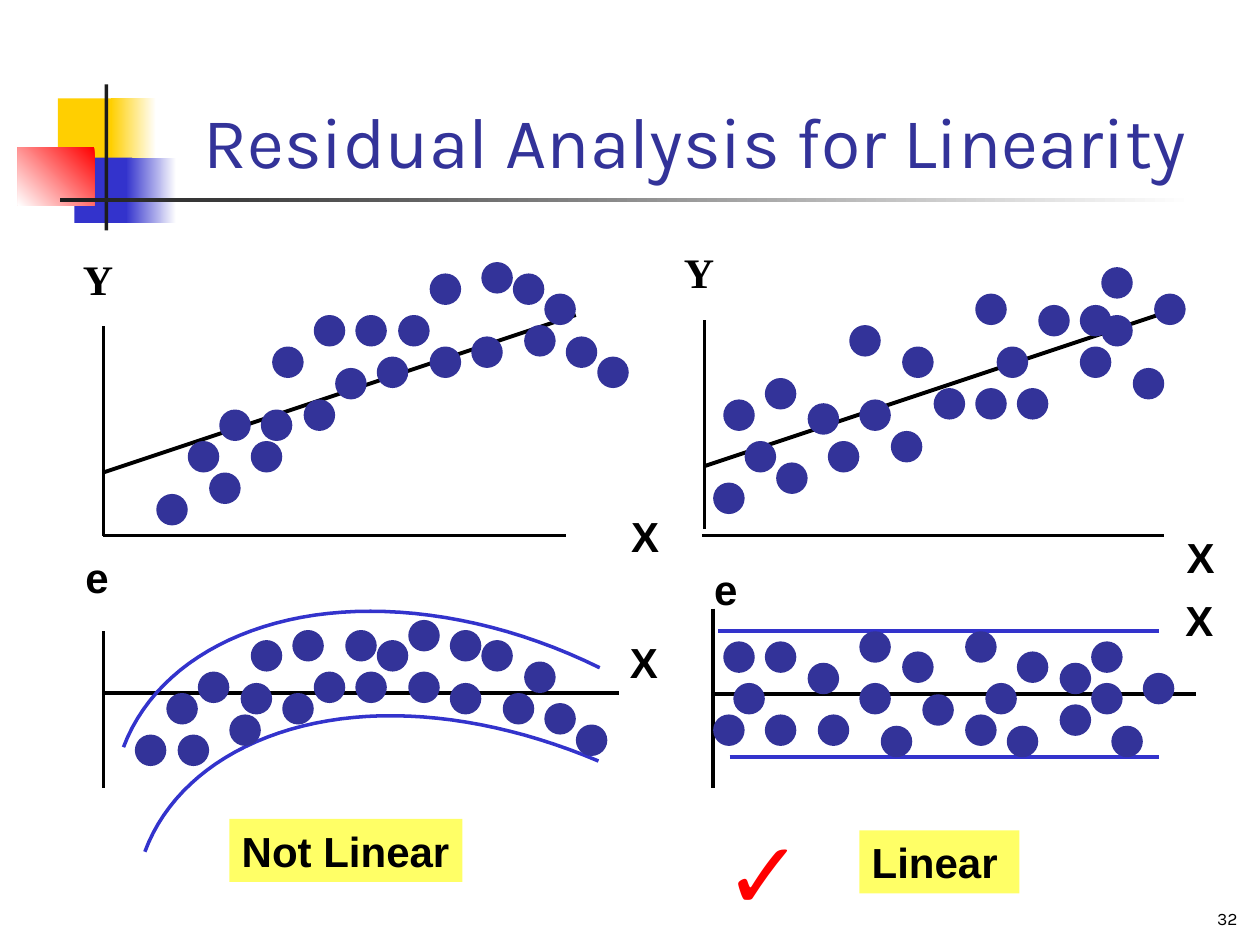
from lxml import etree
from pptx import Presentation
from pptx.dml.color import RGBColor
from pptx.enum.shapes import MSO_CONNECTOR, MSO_SHAPE
from pptx.enum.text import MSO_ANCHOR, PP_ALIGN
from pptx.oxml.ns import qn
from pptx.util import Inches, Pt

RECT, OVAL = MSO_SHAPE.RECTANGLE, MSO_SHAPE.OVAL
STRAIGHT = MSO_CONNECTOR.STRAIGHT
TOP, BOTTOM = MSO_ANCHOR.TOP, MSO_ANCHOR.BOTTOM
LEFT, CENTER, RIGHT = PP_ALIGN.LEFT, PP_ALIGN.CENTER, PP_ALIGN.RIGHT

WHITE = RGBColor(0xFF, 0xFF, 0xFF)
BLACK = RGBColor(0x00, 0x00, 0x00)
DARK = RGBColor(0x1C, 0x1C, 0x1C)
GOLD = RGBColor(0xFF, 0xCF, 0x01)
BLUE = RGBColor(0x33, 0x33, 0xCC)
INDIGO = RGBColor(0x33, 0x33, 0x99)
RED = RGBColor(0xFF, 0x00, 0x00)
YELLOW = RGBColor(0xFF, 0xFF, 0x66)

DOT = 0.25

# Top left corners of the dots in each panel
CURVED_DATA = [
    (1.24, 3.92), (1.66, 3.75), (3.16, 2.5), (3.41, 2.75), (3.82, 2.08),
    (1.99, 3.5), (3.74, 2.67), (4.16, 2.58), (4.07, 2.17), (4.32, 2.33),
    (3.41, 2.17), (2.66, 2.92), (2.82, 2.5), (2.49, 2.5), (1.49, 3.5),
    (1.74, 3.25), (2.07, 3.25), (2.99, 2.83), (2.16, 2.75), (4.49, 2.67),
    (2.41, 3.17), (4.74, 2.83)]
CURVED_RESIDUALS = [
    (1.07, 5.83), (1.41, 5.83), (2.99, 5.08), (3.24, 4.92), (3.57, 5.42),
    (1.82, 5.67), (3.57, 5), (3.99, 5.5), (3.82, 5.08), (4.16, 5.25),
    (3.24, 5.33), (2.49, 5.33), (2.74, 5), (2.32, 5), (1.32, 5.5),
    (1.57, 5.33), (1.91, 5.42), (2.82, 5.33), (1.99, 5.08), (4.32, 5.58),
    (2.24, 5.5), (4.57, 5.75)]
LINEAR_DATA = [
    (5.66, 3.83), (5.91, 3.5), (7.74, 2.33), (7.91, 2.75), (8.57, 2.42),
    (6.16, 3.67), (8.07, 3.08), (8.57, 2.75), (8.74, 2.12), (8.74, 2.5),
    (8.24, 2.42), (7.07, 3.42), (7.16, 2.75), (6.74, 2.58), (5.74, 3.17),
    (6.07, 3), (6.41, 3.2), (7.41, 3.08), (6.82, 3.17), (8.99, 2.92),
    (6.57, 3.5), (9.16, 2.33), (7.74, 3.08)]
LINEAR_RESIDUALS = [
    (6.41, 5.26), (6.07, 5.09), (5.66, 5.67), (5.82, 5.42), (5.74, 5.09),
    (6.82, 5.42), (6.82, 5.01), (6.07, 5.67), (7.66, 5.01), (7.16, 5.17),
    (6.99, 5.76), (6.49, 5.67), (8.41, 5.26), (7.66, 5.67), (7.32, 5.51),
    (8.41, 5.59), (7.82, 5.42), (7.99, 5.76), (8.07, 5.17), (8.82, 5.76),
    (8.66, 5.09), (9.07, 5.34), (8.66, 5.42)]

# Bezier points of the band around the curved residuals
UPPER_BAND = [(0.98, 5.93), (1.18, 5.4), (1.7, 5.03), (2.39, 4.9),
              (3.09, 4.77), (3.95, 4.9), (4.76, 5.3)]
LOWER_BAND = [(1.15, 6.76), (1.34, 6.25), (1.83, 5.88), (2.5, 5.74),
              (3.17, 5.6), (3.97, 5.71), (4.75, 6.04)]


def add_block(s, kind, x, y, w, h, color):
    sp = s.shapes.add_shape(kind, Inches(x), Inches(y), Inches(w), Inches(h))
    sp.shadow.inherit = False
    sp.fill.solid()
    sp.fill.fore_color.rgb = color
    sp.line.fill.background()
    return sp


def add_fade(s, x, y, w, h, start, end, angle=180):
    fill = add_block(s, RECT, x, y, w, h, end).fill
    fill.gradient()
    fill.gradient_angle = angle
    for stop, color in zip(fill.gradient_stops, (start, end)):
        stop.color.rgb = color


def add_line(s, x1, y1, x2, y2, color=BLACK, width=2):
    c = s.shapes.add_connector(STRAIGHT, Inches(x1), Inches(y1),
                               Inches(x2), Inches(y2))
    c.line.color.rgb = color
    c.line.width = Pt(width)
    etree.SubElement(c._element.spPr, qn("a:effectLst"))


def add_dots(s, corners):
    for x, y in corners:
        add_block(s, OVAL, x, y, DOT, DOT, INDIGO)


def add_curve(s, points, steps=20):
    """Draw joined cubic Bezier segments as one open outline."""
    path = [points[0]]
    for i in range(0, len(points) - 1, 3):
        segment = points[i:i + 4]
        for n in range(1, steps + 1):
            t = n / steps
            weights = ((1 - t) ** 3, 3 * t * (1 - t) ** 2,
                       3 * t ** 2 * (1 - t), t ** 3)
            path.append(tuple(sum(w * p[axis] for w, p in zip(weights, segment))
                              for axis in (0, 1)))
    path = [(Inches(x), Inches(y)) for x, y in path]
    builder = s.shapes.build_freeform(*path[0])
    builder.add_line_segments(path[1:], close=False)
    sp = builder.convert_to_shape()
    sp.shadow.inherit = False
    sp.fill.background()
    sp.line.color.rgb = BLUE
    sp.line.width = Pt(2)


def set_text(sp, text, size, font="Arial", color=BLACK, bold=False,
             align=LEFT, anchor=TOP, wrap=True):
    tf = sp.text_frame
    tf.text = text
    tf.word_wrap = wrap
    tf.vertical_anchor = anchor
    p = tf.paragraphs[0]
    p.alignment = align
    r = p.runs[0]
    r.font.size = Pt(size)
    r.font.name = font
    r.font.bold = bold
    r.font.color.rgb = color


def add_label(s, text, x, y, w, h=0.5, size=24, bold=True, **style):
    sp = s.shapes.add_textbox(Inches(x), Inches(y), Inches(w), Inches(h))
    set_text(sp, text, size, bold=bold, **style)


def add_verdict(s, text, x, y, w):
    sp = add_block(s, RECT, x, y, w, 0.5, YELLOW)
    set_text(sp, text, 24, bold=True)


def add_title(s, text):
    sp = s.shapes.title
    sp.left, sp.top = Inches(1.26), Inches(0.25)
    sp.width, sp.height = Inches(8.52), Inches(1.25)
    set_text(sp, text, 41, "Karla", INDIGO, align=CENTER, anchor=BOTTOM)


def add_decoration(s):
    add_block(s, RECT, 0.46, 0.78, 0.48, 0.52, GOLD)
    add_fade(s, 0.88, 0.78, 0.36, 0.52, WHITE, GOLD)
    add_block(s, RECT, 0.59, 1.25, 0.46, 0.52, BLUE)
    add_fade(s, 1, 1.25, 0.4, 0.52, WHITE, BLUE)
    add_fade(s, 0.14, 1.17, 0.61, 0.46, RED, WHITE, angle=225)
    add_block(s, RECT, 0.83, 0.67, 0.03, 1.16, DARK)
    add_fade(s, 0.48, 1.57, 9, 0.03, WHITE, DARK)


def add_scatter(s, x, y, axis_x, dots):
    """Y axis from (x, y), X axis from axis_x, fitted line and dots."""
    add_line(s, x, y, x, y + 1.66)
    add_line(s, axis_x, 4.25, axis_x + 3.67, 4.25)
    add_line(s, x, y + 1.16, x + 3.75, y - 0.09, width=2.25)
    add_dots(s, dots)
    add_label(s, "Y", x - 0.26, y - 0.63, 0.44,
              font="Times New Roman", wrap=False)


def main():
    prs = Presentation()
    prs.slide_width, prs.slide_height = Inches(10), Inches(7.5)
    s = prs.slides.add_slide(prs.slide_layouts[5])
    add_decoration(s)
    add_title(s, "Residual Analysis for Linearity")

    # Residuals of the curved data
    add_line(s, 0.82, 5.01, 0.82, 6.25)
    add_line(s, 0.82, 5.5, 4.91, 5.5)
    add_curve(s, UPPER_BAND)
    add_curve(s, LOWER_BAND)
    add_dots(s, CURVED_RESIDUALS)

    # Residuals of the linear data
    add_line(s, 5.66, 5.51, 9.49, 5.51)
    add_line(s, 5.66, 4.83, 5.66, 6.25)
    add_line(s, 5.7, 5.01, 9.2, 5.01, BLUE)
    add_line(s, 5.79, 6.01, 9.2, 6.01, BLUE)
    add_dots(s, LINEAR_RESIDUALS)

    # Scatter plots with fitted lines
    add_scatter(s, 0.82, 2.59, 0.82, CURVED_DATA)
    add_scatter(s, 5.59, 2.54, 5.57, LINEAR_DATA)

    # Axis labels
    for x, y in [(4.91, 4), (9.32, 4.17), (4.9, 5), (9.31, 4.67)]:
        add_label(s, "X", x, y, 0.68)
    for x, y in [(0.58, 4.33), (5.57, 4.42)]:
        add_label(s, "e", x, y, 0.67)

    # Verdicts and page number
    add_verdict(s, "Not Linear", 1.82, 6.5, 1.85)
    add_verdict(s, "Linear", 6.82, 6.59, 1.27)
    add_label(s, "✓", 5.65, 6.42, 1.43, 1, size=54, bold=False, color=RED)
    add_label(s, "32", 7.84, 6.91, 2.08, 0.51, size=10, bold=False,
              font="Karla", align=RIGHT, anchor=BOTTOM)
    prs.save("out.pptx")


if __name__ == "__main__":
    main()
